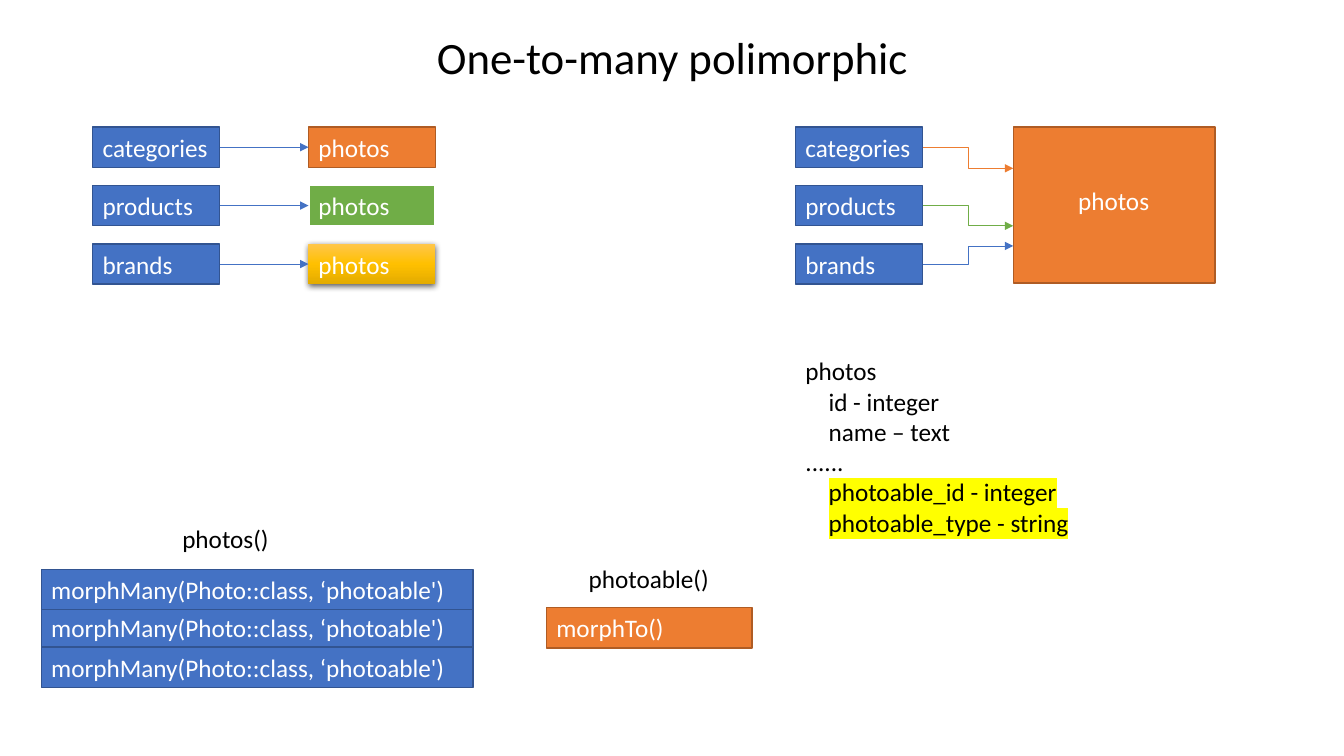
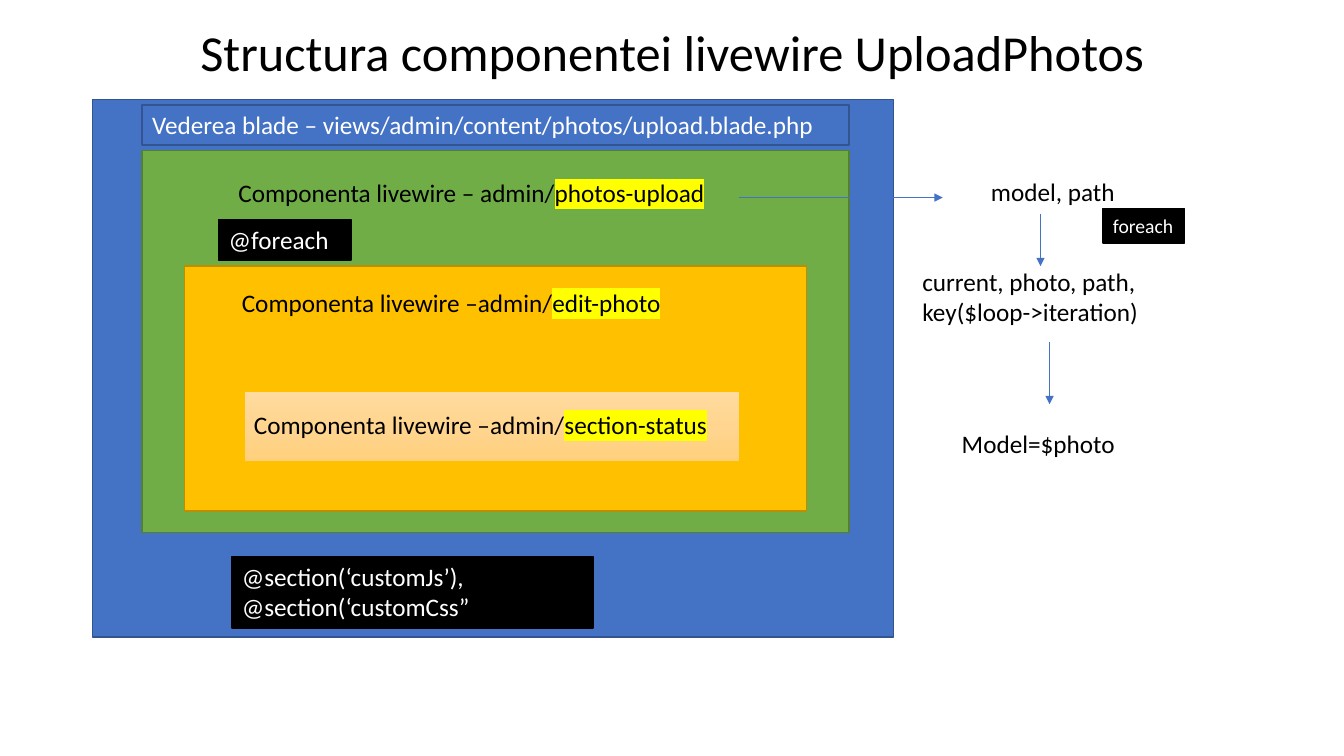
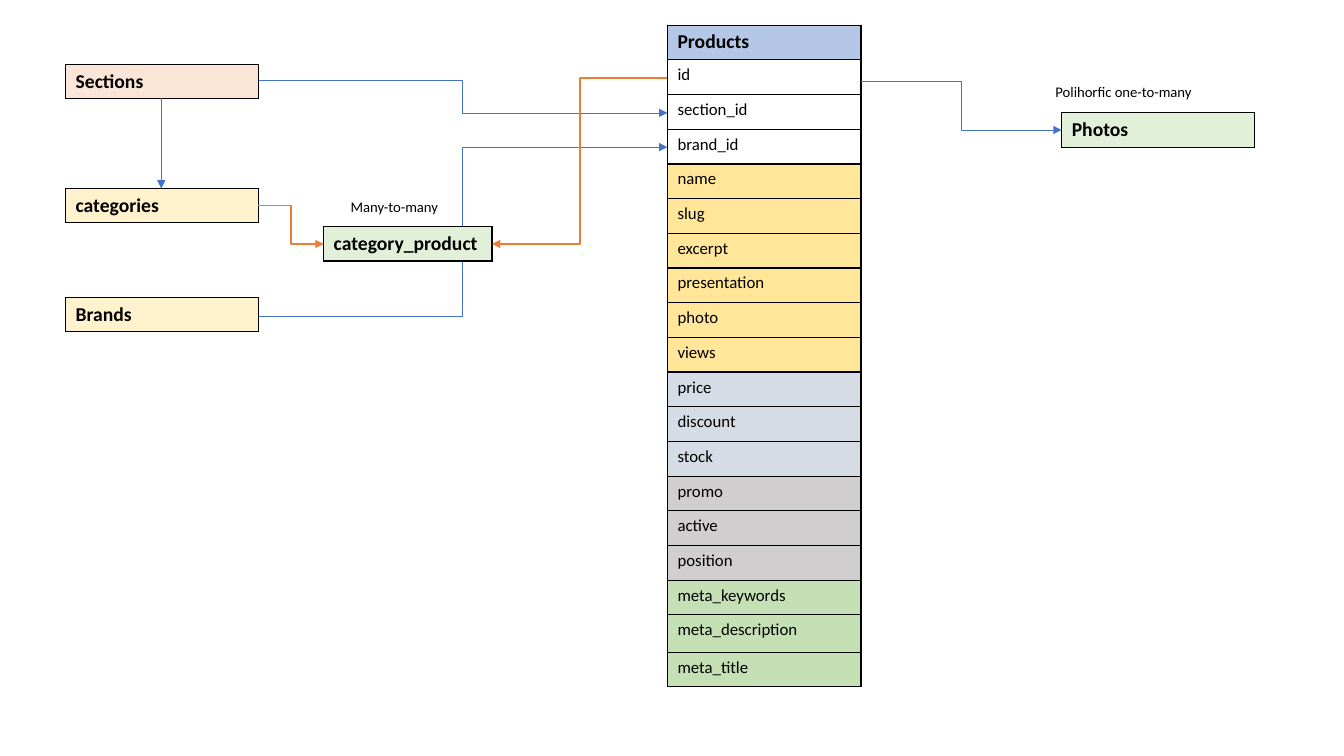
from copy import deepcopy

from lxml import etree
from pptx import Presentation
from pptx import util as u
from pptx.dml.color import RGBColor
from pptx.enum import shapes, text
from pptx.oxml import ns

BLACK = RGBColor(0x00, 0x00, 0x00)
WHITE = RGBColor(0xFF, 0xFF, 0xFF)
BLUE = RGBColor(0x44, 0x72, 0xC4)
DARK_BLUE = RGBColor(0x32, 0x54, 0x91)
ORANGE = RGBColor(0xED, 0x7D, 0x31)
DARK_ORANGE = RGBColor(0xAF, 0x5C, 0x24)
GREEN = RGBColor(0x70, 0xAD, 0x47)
DARK_GREEN = RGBColor(0x53, 0x80, 0x35)
GOLD = RGBColor(0xFF, 0xC0, 0x00)
DARK_GOLD = RGBColor(0xBD, 0x8E, 0x00)
GOLD_BLEND = (RGBColor(0xFF, 0xC6, 0x4B), GOLD, RGBColor(0xE3, 0xAB, 0x00))
PEACH_BLEND = (
    RGBColor(0xFF, 0xDB, 0x9E),
    RGBColor(0xFF, 0xD5, 0x90),
    RGBColor(0xFF, 0xD0, 0x7C),
)
PALE_BLUE = RGBColor(0xB4, 0xC7, 0xE7)
PALE_GOLD = RGBColor(0xFF, 0xE6, 0x99)
PALE_SLATE = RGBColor(0xD6, 0xDC, 0xE5)
PALE_GRAY = RGBColor(0xD0, 0xCE, 0xCE)
PALE_GREEN = RGBColor(0xC5, 0xE0, 0xB4)
LIGHT_GREEN = RGBColor(0xE2, 0xF0, 0xD9)
LIGHT_ORANGE = RGBColor(0xFB, 0xE5, 0xD6)
CREAM = RGBColor(0xFF, 0xF2, 0xCC)
YELLOW = RGBColor(0xFF, 0xFF, 0x00)

TITLE_ONLY, BLANK = 5, 6
LEFT, RIGHT = 1, 3


def add_xml(parent, tag, **attributes):
    """Append a DrawingML element to a parent and return it."""
    return etree.SubElement(parent, ns.qn(f"a:{tag}"), attributes)


def add_color(parent, color):
    """Append an RGB colour element to a parent and return it."""
    return add_xml(parent, "srgbClr", val=str(color))


class Deck:
    """Hold the shared style and the current slide."""

    font = "Calibri"
    body_size = 18
    tab_width = 0.23

    def __init__(self):
        """Start a widescreen presentation."""
        self.presentation = Presentation()
        self.presentation.slide_width = u.Inches(13.33)
        self.presentation.slide_height = u.Inches(7.5)
        self.slide = None

    def add_slide(self, layout):
        """Add a slide and make it current."""
        layouts = self.presentation.slide_layouts
        self.slide = self.presentation.slides.add_slide(layouts[layout])

    def style_run(self, run, size, color, bold=False):
        """Apply the deck font to a run."""
        run.font.name = self.font
        run.font.size = u.Pt(size)
        run.font.bold = bold
        run.font.color.rgb = color

    def title(self, wording, top, height, size):
        """Fill and place the title placeholder."""
        title = self.slide.shapes.title
        title.left, title.top = u.Inches(0.92), u.Inches(top)
        title.width, title.height = u.Inches(11.5), u.Inches(height)
        frame = title.text_frame
        frame.text = wording
        frame.vertical_anchor = text.MSO_ANCHOR.MIDDLE
        paragraph = frame.paragraphs[0]
        paragraph.alignment = text.PP_ALIGN.CENTER
        paragraph.line_spacing = 0.9
        self.style_run(paragraph.runs[0], size, BLACK)

    def fill_text(self, shape, lines, color, size, centered, wrap):
        """Set lines, each a string or a pair of plain and highlighted text."""
        frame = shape.text_frame
        frame.word_wrap = wrap
        frame.vertical_anchor = text.MSO_ANCHOR.TOP
        if not wrap:
            frame.auto_size = text.MSO_AUTO_SIZE.SHAPE_TO_FIT_TEXT
        pairs = [(line, "") if isinstance(line, str) else line for line in lines]
        frame.text = "\n".join(plain for plain, marked in pairs)
        for paragraph, (plain, marked) in zip(frame.paragraphs, pairs):
            paragraph.alignment = (
                text.PP_ALIGN.CENTER if centered else text.PP_ALIGN.LEFT
            )
            if "\t" in plain + marked:
                stops = add_xml(paragraph._p.get_or_add_pPr(), "tabLst")
                add_xml(stops, "tab", pos=str(u.Inches(self.tab_width)), algn="l")
            if marked:
                paragraph.add_run().text = marked
            for run in paragraph.runs:
                self.style_run(run, size, color)
            if marked:
                self.highlight(paragraph.runs[-1])

    def highlight(self, run):
        """Mark a coloured run in yellow."""
        properties = run._r.get_or_add_rPr()
        mark = add_xml(properties, "highlight")
        add_color(mark, YELLOW)
        properties.find(ns.qn("a:solidFill")).addnext(mark)

    def label(self, at, *lines, color=BLACK, size=body_size, centered=False, wrap=True):
        """Add a text box."""
        box = self.slide.shapes.add_textbox(*map(u.Inches, at))
        self.fill_text(box, lines, color, size, centered, wrap)
        return box

    def box(self, at, *lines, fill=BLUE, line=DARK_BLUE, weight=1, size=body_size,
            color=WHITE, wrap=True):
        """Add a rectangle, with a gradient when fill is a tuple of three colours."""
        shape = self.slide.shapes.add_shape(
            shapes.MSO_SHAPE.RECTANGLE, *map(u.Inches, at)
        )
        shape.shadow.inherit = False
        if isinstance(fill, RGBColor):
            shape.fill.solid()
            shape.fill.fore_color.rgb = fill
        else:
            self.blend(shape, fill)
        if line is None:
            shape.line.fill.background()
        else:
            shape.line.color.rgb = line
            shape.line.width = u.Pt(weight)
        if lines:
            self.fill_text(shape, lines, color, size, False, wrap)
        return shape

    def blend(self, shape, colors):
        """Fill a shape with a downward gradient of three colours."""
        shape.fill.gradient()
        shape.fill.gradient_angle = 270
        stop_list = shape._element.spPr.find(".//" + ns.qn("a:gsLst"))
        stop_list.insert(1, deepcopy(stop_list[0]))
        for index, (stop, color) in enumerate(zip(shape.fill.gradient_stops, colors)):
            stop.position = index / 2
            stop.color.rgb = color

    def cast_shadow(self, shape):
        """Give a shape a soft shadow below it."""
        effects = shape._element.spPr.find(ns.qn("a:effectLst"))
        shadow = add_xml(
            effects, "outerShdw", blurRad=str(u.Pt(4.5)), dist=str(u.Pt(1.5)),
            dir="5400000", algn="ctr", rotWithShape="0",
        )
        add_xml(add_color(shadow, BLACK), "alpha", val="63000")

    def arrow(self, start, end, color=BLUE, weight=0.5, elbow=False):
        """Add a straight or elbow arrow between two points."""
        kind = shapes.MSO_CONNECTOR.ELBOW if elbow else shapes.MSO_CONNECTOR.STRAIGHT
        connector = self.slide.shapes.add_connector(
            kind, *map(u.Inches, (*start, *end))
        )
        connector.line.color.rgb = color
        connector.line.width = u.Pt(weight)
        add_xml(connector.line._get_or_add_ln(), "tailEnd", type="triangle")
        add_xml(connector._element.spPr, "effectLst")
        return connector

    def table(self, left, top, width, rows, heights):
        """Add a one-column table of names and fills under a bold first row."""
        frame = self.slide.shapes.add_table(
            len(rows), 1, *map(u.Inches, (left, top, width, sum(heights)))
        )
        table = frame.table
        table.first_row = table.horz_banding = False
        for index, ((name, fill), height) in enumerate(zip(rows, heights)):
            table.rows[index].height = u.Inches(height)
            cell = table.cell(index, 0)
            cell.text_frame.text = name
            heading = index == 0
            run = cell.text_frame.paragraphs[0].runs[0]
            self.style_run(run, 14 if heading else 12, BLACK, heading)
            if fill is None:
                cell.fill.background()
            else:
                cell.fill.solid()
                cell.fill.fore_color.rgb = fill
            self.cell_borders(cell)

    def cell_borders(self, cell):
        """Draw thin black lines on the four sides of a cell."""
        properties = cell._tc.get_or_add_tcPr()
        for index, side in enumerate(("lnL", "lnR", "lnT", "lnB")):
            border = add_xml(properties, side, w=str(u.Pt(1)))
            add_color(add_xml(border, "solidFill"), BLACK)
            properties.insert(index, border)


def polymorphic_slide(deck):
    """Build the slide on polymorphic relations."""
    deck.add_slide(TITLE_ONLY)
    deck.title("One-to-many polimorphic", 0.09, 1, 32)

    width, height = 1.26, 0.4
    deck.box((10.05, 1.26, 2, 1.55), fill=ORANGE, line=DARK_ORANGE)
    deck.label((10.34, 1.79, 1.41, height), "photos", color=WHITE, centered=True)
    photo_styles = (
        {"fill": ORANGE, "line": DARK_ORANGE},
        {"fill": GREEN, "line": WHITE, "weight": 1.5},
        {"fill": GOLD_BLEND, "line": None},
    )
    names = ("categories", "products", "brands")
    targets = ((1.67, ORANGE), (2.24, GREEN), (2.44, BLUE))
    for index, name in enumerate(names):
        top = 1.26 + 0.58 * index
        middle = top + height / 2
        owner = deck.box((0.92, top, width, height), name)
        photos = deck.box((3.06, top, width, height), "photos", **photo_styles[index])
        link = deck.arrow((2.18, middle), (3.06, middle))
        link.begin_connect(owner, RIGHT)
        link.end_connect(photos, LEFT)

        deck.box((7.89, top, width, height), name)
        target, color = targets[index]
        deck.arrow((7.89 + width, middle), (10.05, target), color, elbow=True)
    deck.cast_shadow(photos)

    deck.label(
        (7.89, 3.48, 3.73, 1.92),
        "photos", "\tid - integer", "\tname – text", "......",
        ("\t", "photoable_id - integer"), ("", "\tphotoable_type - string"),
    )

    for top in (6.03, 6.42, 5.65):
        deck.box((0.41, top, 4.28, height), "morphMany(Photo::class, ‘photoable')")
    deck.box((5.42, 6.03, 2.04, height), "morphTo()", fill=ORANGE, line=DARK_ORANGE)
    deck.label((5.74, 5.54, 1.41, height), "photoable()", wrap=False)
    deck.label((1.71, 5.14, 1.07, height), "photos()", wrap=False)


def component_slide(deck):
    """Build the slide on the nested components."""
    deck.add_slide(TITLE_ONLY)
    deck.title("Structura componentei livewire UploadPhotos", 0.1, 0.9, 36)

    deck.box((0.92, 0.99, 7.94, 5.33))
    deck.box(
        (1.41, 1.04, 7.01, 0.4),
        "Vederea blade – views/admin/content/photos/upload.blade.php",
    )
    deck.box((1.41, 1.49, 7.01, 3.79), fill=GREEN, line=DARK_GREEN)
    deck.label(
        (2.17, 1.71, 5.01, 0.4),
        ("Componenta livewire – admin/", "photos-upload"), centered=True,
    )
    deck.box((1.83, 2.64, 6.17, 2.43), fill=GOLD, line=DARK_GOLD)
    deck.box((2.42, 3.88, 4.91, 0.7), fill=PEACH_BLEND, line=GOLD, weight=0.5)
    for left, top, name in ((2.3, 2.8, "edit-photo"), (2.42, 4.01, "section-status")):
        deck.label((left, top, 4.91, 0.4), ("Componenta livewire –admin/", name))

    code = {"fill": BLACK, "line": BLACK}
    deck.box(
        (2.3, 5.52, 3.58, 0.71), "@section(‘customJs’), @section(‘customCss”", **code
    )
    deck.box((2.17, 2.18, 1.31, 0.4), "@foreach", **code)

    deck.label((9.73, 1.7, 1.81, 0.42), "model, path")
    deck.label(
        (9.05, 2.59, 4.07, 0.71), "current, photo, path,", "key($loop->iteration)"
    )
    deck.label((9.44, 4.2, 2.19, 0.4), "Model=$photo")
    deck.box((10.94, 2.07, 0.81, 0.34), "foreach", size=14, wrap=False, **code)
    deck.arrow((7.33, 1.96), (9.35, 1.96))
    deck.arrow((10.32, 2.12), (10.32, 2.64))
    deck.arrow((10.41, 3.39), (10.41, 4.01))


def schema_slide(deck):
    """Build the slide on the product tables."""
    deck.add_slide(BLANK)
    field_groups = (
        (PALE_BLUE, ("Products",)),
        (None, ("id", "section_id", "brand_id")),
        (PALE_GOLD, ("name", "slug", "excerpt", "presentation", "photo", "views")),
        (PALE_SLATE, ("price", "discount", "stock")),
        (PALE_GRAY, ("promo", "active", "position")),
        (PALE_GREEN, ("meta_keywords", "meta_description", "meta_title")),
    )
    fields = [(name, fill) for fill, names in field_groups for name in names]
    heights = [(6.57 - 0.37) / 18] * len(fields)
    heights[-2] = 0.37
    deck.table(6.62, 0.25, 1.92, fields, heights)

    deck.arrow((2.56, 0.8), (6.62, 1.12), elbow=True)
    deck.arrow((2.56, 3.14), (6.62, 1.46), elbow=True)
    deck.arrow((8.54, 0.81), (10.53, 1.29), elbow=True)
    related_tables = (
        (0.65, 0.64, 1.91, "Sections", LIGHT_ORANGE),
        (0.65, 1.87, 1.91, "categories", CREAM),
        (0.65, 2.95, 1.91, "Brands", CREAM),
        (3.21, 2.25, 1.67, "category_product", LIGHT_GREEN),
        (10.53, 1.12, 1.91, "Photos", LIGHT_GREEN),
    )
    for left, top, width, name, fill in related_tables:
        deck.table(left, top, width, [(name, fill)], [0.34])
    deck.arrow((2.56, 2.04), (3.21, 2.42), ORANGE, 1, elbow=True)
    deck.arrow((6.62, 0.77), (4.88, 2.42), ORANGE, 1.5, elbow=True)
    deck.arrow((1.6, 0.97), (1.6, 1.87))

    deck.label(
        (10.37, 0.77, 1.58, 0.28), "Polihorfic one-to-many", size=10.5, wrap=False
    )
    deck.label((3.38, 1.91, 1.09, 0.28), "Many-to-many", size=10.5, wrap=False)


def main():
    """Build and save the presentation."""
    deck = Deck()
    polymorphic_slide(deck)
    component_slide(deck)
    schema_slide(deck)
    deck.presentation.save("out.pptx")


if __name__ == "__main__":
    main()
